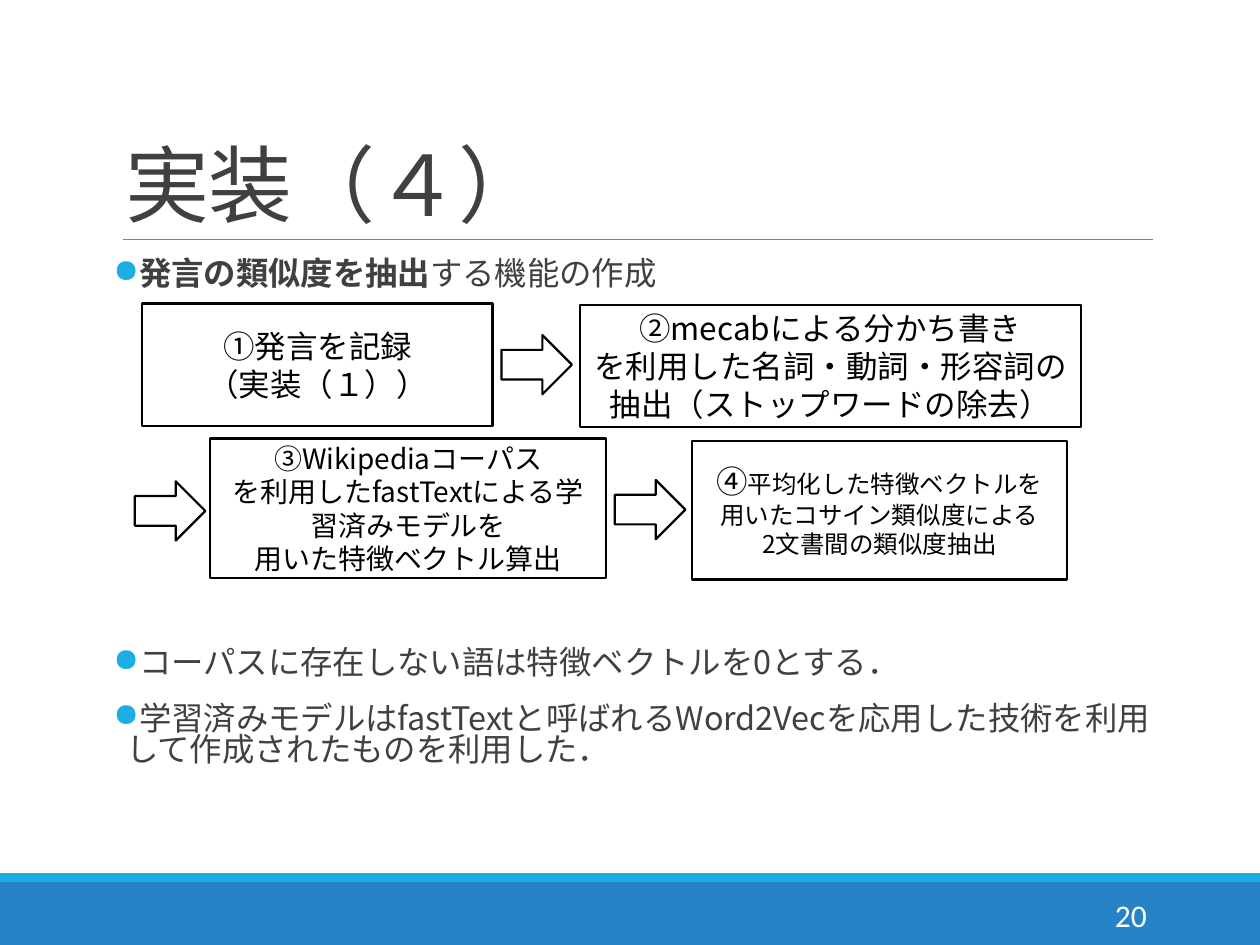
from lxml.etree import SubElement
from pptx import Presentation
from pptx.dml.color import RGBColor
from pptx.enum.shapes import MSO_CONNECTOR, MSO_SHAPE
from pptx.enum.text import MSO_ANCHOR, PP_ALIGN
from pptx.oxml.ns import qn
from pptx.util import Inches, Pt

JAPANESE, LATIN = "Noto Sans CJK JP", "Calibri"
BLACK, WHITE, GRAY, TEXT = "000000", "FFFFFF", "808080", "404040"
BLUE, CYAN = "2683C6", "1CADE4"
COLUMNS, ROWS = 100, 75


def color(value):
    return RGBColor.from_string(value)


class SlideBuilder:
    """Draws on one slide; places are (column, row, columns wide, rows high)."""

    def __init__(self, presentation):
        presentation.slide_width, presentation.slide_height = Inches(10), Inches(7.5)
        self.column = presentation.slide_width / COLUMNS
        self.row = presentation.slide_height / ROWS
        self.slide = presentation.slides.add_slide(presentation.slide_layouts[6])

    def lengths(self, place):
        units = (self.column, self.row) * 2
        return [round(number * unit) for number, unit in zip(place, units)]

    def shape(self, kind, place, fill=WHITE, line=None):
        shape = self.slide.shapes.add_shape(kind, *self.lengths(place))
        shape.shadow.inherit = False
        shape.fill.solid()
        shape.fill.fore_color.rgb = color(fill)
        if line:
            shape.line.color.rgb = color(line)
            shape.line.width = Pt(1.25)
        else:
            shape.line.fill.background()
        return shape

    def rule(self, start, end):
        connector = self.slide.shapes.add_connector(
            MSO_CONNECTOR.STRAIGHT, *self.lengths(start + end))
        connector.line.color.rgb = color(GRAY)
        connector.line.width = Pt(0.5)
        SubElement(connector._element.spPr, qn("a:effectLst"))

    def add_runs(self, paragraph, runs, font_name, font_color):
        """Adds (text, size, bold) runs; a newline in a text is a line break."""
        for text, size, bold in runs:
            for index, part in enumerate(text.split("\n")):
                if index:
                    paragraph.add_line_break()
                run = paragraph.add_run()
                run.text = part
                style = {"name": font_name, "size": Pt(size), "bold": bold}
                for name, value in style.items():
                    setattr(run.font, name, value)
                run.font.color.rgb = color(font_color)
                SubElement(run._r.get_or_add_rPr(), qn("a:ea"), typeface=font_name)

    def fill_text(self, shape, paragraphs, font_color, font_name=JAPANESE,
                  anchor=MSO_ANCHOR.MIDDLE, **formats):
        frame = shape.text_frame
        frame.word_wrap = True
        frame.vertical_anchor = anchor
        for index, runs in enumerate(paragraphs):
            paragraph = frame.add_paragraph() if index else frame.paragraphs[0]
            for name, value in formats.items():
                setattr(paragraph, name, value)
            self.add_runs(paragraph, runs, font_name, font_color)
        return frame

    def text(self, place, paragraphs, font_color, **formats):
        shape = self.slide.shapes.add_textbox(*self.lengths(place))
        return self.fill_text(shape, paragraphs, font_color, **formats)

    def bullets(self, place, paragraphs):
        frame = self.text(place, paragraphs, TEXT, anchor=MSO_ANCHOR.TOP,
                          line_spacing=0.8, space_after=Pt(2))
        frame.margin_left = frame.margin_right = 0
        for index, paragraph in enumerate(frame.paragraphs):
            properties = paragraph._p.get_or_add_pPr()
            properties.set("marL", str(Inches(0.1)))
            properties.set("indent", str(-Inches(0.1)))
            bullet_color = SubElement(properties, qn("a:buClr"))
            SubElement(bullet_color, qn("a:srgbClr"), val=CYAN)
            SubElement(properties, qn("a:buChar"), char="●")
            if index:
                paragraph.space_before = Pt(12)

    def step(self, place, paragraphs):
        box = self.shape(MSO_SHAPE.RECTANGLE, place, line=BLACK)
        self.fill_text(box, paragraphs, BLACK, alignment=PP_ALIGN.CENTER)

    def arrow(self, column, row):
        self.shape(MSO_SHAPE.RIGHT_ARROW, (column, row, 5.6, 4.7), line=BLACK)


STEPS = [
    ((11.3, 24.1, 27.8, 9.7), [[("①発言を記録\n（実装（１））", 18, False)]]),
    ((46, 24.2, 39.8, 9.7), [
        [("②mecabによる分かち書き", 18, False)],
        [("を利用した名詞・動詞・形容詞の抽出（ストップワードの除去）", 18, False)]]),
    ((16.7, 34.8, 31.4, 11.1), [
        [("③Wikipediaコーパス\nを利用したfastTextによる学習済みモデルを\n"
          "用いた特徴ベクトル算出", 16, False)]]),
    ((54.9, 35, 29.8, 11), [
        [("④", 18, False),
         ("平均化した特徴ベクトルを用いたコサイン類似度による\n"
          "2文書間の類似度抽出", 14, False)]]),
]
ARROWS = [(39.8, 26.6), (10.7, 38.2), (48.8, 38.1)]
FEATURE = [[("発言の類似度を抽出", 18.5, True), ("する機能の作成", 18.5, False)]]
NOTES = [
    [("コーパスに存在しない語は特徴ベクトルを0とする．", 18.5, False)],
    [("学習済みモデルはfastTextと呼ばれるWord2Vecを応用した技術を利用して"
      "作成されたものを利用した．", 18.5, False)],
]


def main():
    presentation = Presentation()
    builder = SlideBuilder(presentation)
    builder.shape(MSO_SHAPE.RECTANGLE, (0, 70, COLUMNS, 5), BLUE)
    builder.shape(MSO_SHAPE.RECTANGLE, (0, 69.3, COLUMNS, 0.7), CYAN)
    builder.rule((9.8, 19), (91.5, 19))
    title = builder.text((9, 3.1, 82.5, 15.9), [[("実装（４）", 48, False)]], TEXT,
                         anchor=MSO_ANCHOR.BOTTOM, line_spacing=0.85)
    title.paragraphs[0].runs[0]._r.get_or_add_rPr().set("spc", "-50")
    builder.text((81.2, 70.6, 10.8, 4), [[("20", 18, False)]], WHITE,
                 font_name=LATIN, alignment=PP_ALIGN.RIGHT)
    builder.bullets((9, 20.2, 82.5, 3.8), FEATURE)
    builder.bullets((9, 51.1, 82.5, 13.1), NOTES)
    for place, paragraphs in STEPS:
        builder.step(place, paragraphs)
    for column, row in ARROWS:
        builder.arrow(column, row)
    presentation.save("out.pptx")


if __name__ == "__main__":
    main()
